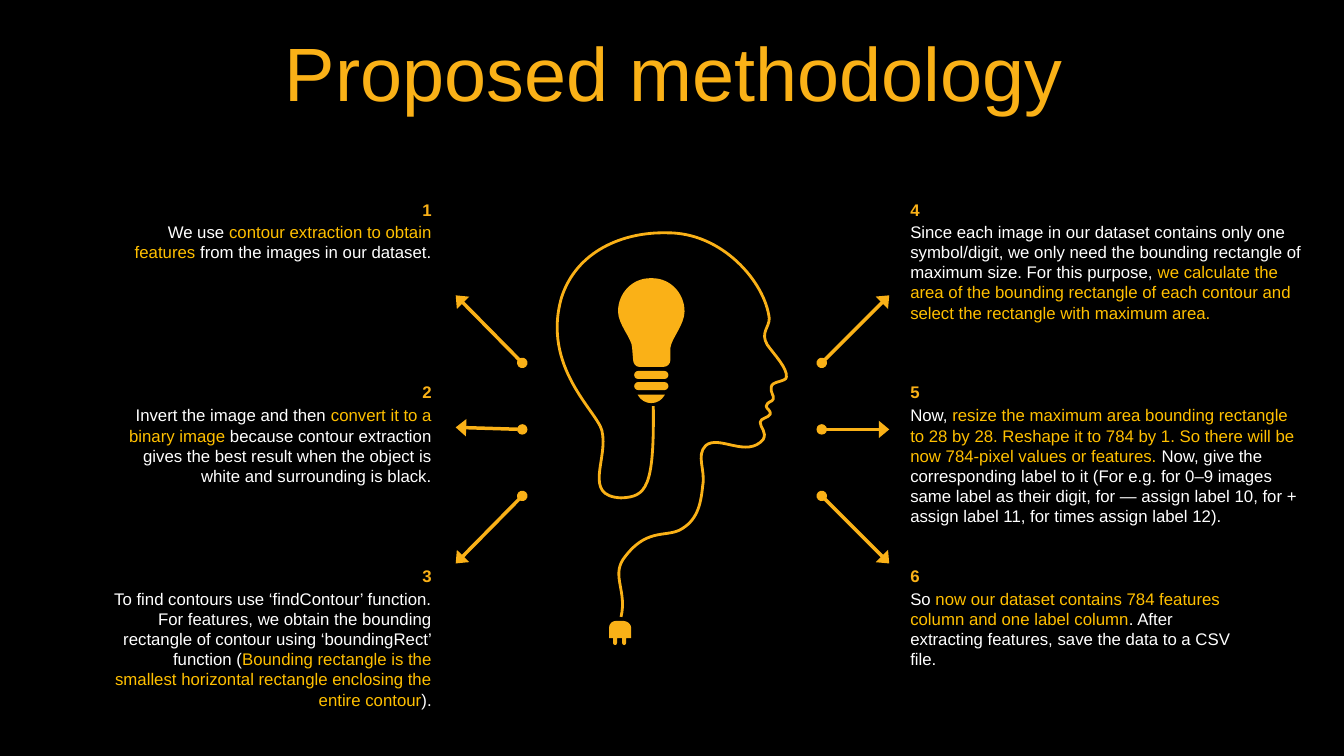
from dataclasses import dataclass

from lxml import etree
from pptx import Presentation
from pptx.dml.color import RGBColor
from pptx.enum import shapes, text
from pptx.oxml import ns
from pptx.util import Inches, Pt


@dataclass(frozen=True)
class Theme:
    font: str = "Arial"
    background: RGBColor = RGBColor(0x00, 0x00, 0x00)
    accent: RGBColor = RGBColor(0xFA, 0xB1, 0x17)
    highlight: RGBColor = RGBColor(0xFF, 0xC0, 0x00)
    body: RGBColor = RGBColor(0xFF, 0xFF, 0xFF)
    title_size: int = 54
    text_size: int = 12
    arrow_width: float = 2.5
    outline_width: float = 2


class SlideBuilder:
    def __init__(self, slide, theme):
        self.slide, self.theme = slide, theme
        self.shapes = slide.shapes
        fill = slide.background.fill
        fill.solid()
        fill.fore_color.rgb = theme.background

    def start_group(self):
        """Collect the following elements in a new group."""
        self.shapes = self.slide.shapes.add_group_shape().shapes

    def style_run(self, r, size, color, bold=False):
        r.font.name, r.font.size, r.font.bold = self.theme.font, Pt(size), bold
        r.font.color.rgb = color

    def title(self, words, x, y, w, h):
        sp = self.slide.shapes.title
        sp.left, sp.top, sp.width, sp.height = map(Inches, (x, y, w, h))
        tf = sp.text_frame
        tf.text = words
        tf.auto_size = text.MSO_AUTO_SIZE.NONE
        tf.vertical_anchor = text.MSO_ANCHOR.MIDDLE
        p = tf.paragraphs[0]
        p.alignment = text.PP_ALIGN.CENTER
        p.line_spacing, p.space_before = 0.9, Pt(10)
        self.style_run(p.runs[0], self.theme.title_size, self.theme.accent)

    def text_box(self, x, y, w, h, align, anchor):
        tf = self.shapes.add_textbox(*map(Inches, (x, y, w, h))).text_frame
        tf.word_wrap = True
        tf.auto_size = text.MSO_AUTO_SIZE.SHAPE_TO_FIT_TEXT
        tf.vertical_anchor = anchor
        p = tf.paragraphs[0]
        p.alignment = align
        return p

    def step(self, number, parts, lines, x, number_y, text_y, w, align):
        """Numbered step; every second part is highlighted."""
        theme = self.theme
        self.start_group()
        p = self.text_box(x, number_y, w, 0.3, align, text.MSO_ANCHOR.MIDDLE)
        p.text = str(number)
        self.style_run(p.runs[0], theme.text_size, theme.accent, bold=True)
        p = self.text_box(x, text_y, w, 0.1 + 0.2 * lines, align, text.MSO_ANCHOR.TOP)
        for i, part in enumerate(parts):
            r = p.add_run()
            r.text = part
            self.style_run(r, theme.text_size, theme.highlight if i % 2 else theme.body)

    def arrow(self, x1, y1, x2, y2):
        line = self.shapes.add_connector(
            shapes.MSO_CONNECTOR.STRAIGHT, *map(Inches, (x1, y1, x2, y2)))
        line.line.color.rgb = self.theme.accent
        line.line.width = Pt(self.theme.arrow_width)
        ln = line.line._get_or_add_ln()
        etree.SubElement(ln, ns.qn("a:headEnd"), type="oval")
        etree.SubElement(ln, ns.qn("a:tailEnd"), type="triangle", w="lg", len="med")
        etree.SubElement(line._element.spPr, ns.qn("a:effectLst"))

    def paint(self, sp):
        sp.shadow.inherit = False
        sp.fill.solid()
        sp.fill.fore_color.rgb = self.theme.accent
        sp.line.fill.background()

    def preset(self, kind, x, y, w, h, *adjustments):
        sp = self.shapes.add_shape(kind, *map(Inches, (x, y, w, h)))
        for i, value in enumerate(adjustments):
            sp.adjustments[i] = value
        self.paint(sp)

    def freeform(self, start, segments, closed=True):
        """Two numbers are a line to a point, six numbers are a cubic curve."""
        builder = self.shapes.build_freeform(*map(Inches, start))
        builder.add_line_segments([tuple(map(Inches, seg[-2:])) for seg in segments],
                                  close=closed)
        sp = builder.convert_to_shape()
        lines = list(sp._element.iter(ns.qn("a:lnTo")))
        for line, seg in zip(lines, segments):
            if len(seg) == 6:
                curve = etree.Element(ns.qn("a:cubicBezTo"))
                for x, y in zip(seg[::2], seg[1::2]):
                    etree.SubElement(curve, ns.qn("a:pt"), x=str(Inches(x) - sp.left),
                                     y=str(Inches(y) - sp.top))
                line.getparent().replace(line, curve)
        self.paint(sp)
        if not closed:
            sp.fill.background()
            sp.line.color.rgb = self.theme.accent
            sp.line.width = Pt(self.theme.outline_width)


# Step texts with their line counts, by number
STEPS = {
    4: (5, ["Since each image in our dataset contains only one symbol/digit, we only need "
            "the bounding rectangle of maximum size. For this purpose, ",
            "we calculate the area of the bounding rectangle of each contour and select "
            "the rectangle with maximum area."]),
    5: (6, ["Now, ", "resize the maximum area bounding rectangle to 28 by 28. Reshape it to "
            "784 by 1. So there will be now 784-pixel values or features. ",
            "Now, give the corresponding label to it (For e.g. for 0–9 images same label as "
            "their digit, for — assign label 10, for + assign label 11, for times assign "
            "label 12)."]),
    6: (4, ["So ", "now our dataset contains 784 features column and one label column",
            ". After extracting features, save the data to a CSV file."]),
    1: (2, ["We use ", "contour extraction to obtain features",
            " from the images in our dataset."]),
    2: (4, ["Invert the image and then ", "convert it to a binary image",
            " because contour extraction gives the best result when the object is white "
            "and surrounding is black."]),
    3: (6, ["To find contours use ‘findContour’ function. For features, we obtain the "
            "bounding rectangle of contour using ‘boundingRect’ function (",
            "Bounding rectangle is the smallest horizontal rectangle enclosing the entire "
            "contour", ")."]),
}
ROW_TOPS = ((1.93, 2.15), (3.74, 3.97), (5.56, 5.79))
NARROW, WIDE = 3.39, 4.1

# Outlines of the illustration
HEAD = (6.48, 4.03), [
    (6.49, 4.84, 6.41, 4.93, 6.16, 4.94), (5.77, 4.92, 6.04, 4.55, 5.97, 4.27),
    (5.92, 4.08, 5.37, 3.64, 5.57, 2.95), (5.72, 2.49, 6.18, 2.3, 6.61, 2.31),
    (7.16, 2.3, 7.59, 2.8, 7.63, 3.16), (7.63, 3.25, 7.54, 3.3, 7.61, 3.42),
    (7.68, 3.52, 7.81, 3.65, 7.8, 3.74), (7.8, 3.79, 7.65, 3.78, 7.65, 3.84),
    (7.64, 3.9, 7.68, 3.92, 7.67, 3.96), (7.66, 3.99, 7.61, 3.98, 7.6, 4.03),
    (7.6, 4.06, 7.65, 4.07, 7.64, 4.11), (7.63, 4.14, 7.54, 4.15, 7.54, 4.19),
    (7.54, 4.24, 7.61, 4.29, 7.57, 4.36), (7.41, 4.55, 7.13, 4.31, 7, 4.42),
    (6.9, 4.52, 7, 4.66, 6.97, 4.82), (6.95, 5.02, 6.91, 5.17, 6.74, 5.26),
    (6.59, 5.33, 6.4, 5.24, 6.18, 5.55), (6.07, 5.72, 6.22, 5.87, 6.16, 6.12)]
BULB = (6.45, 2.76), [
    (6.46, 2.76), (6.47, 2.76), (6.65, 2.76, 6.79, 2.91, 6.79, 3.09),
    (6.79, 3.22, 6.66, 3.36, 6.65, 3.45), (6.65, 3.57),
    (6.65, 3.61, 6.62, 3.64, 6.58, 3.64), (6.46, 3.64), (6.34, 3.64),
    (6.31, 3.64, 6.28, 3.61, 6.28, 3.57), (6.27, 3.45),
    (6.27, 3.36, 6.13, 3.22, 6.13, 3.09), (6.13, 2.91, 6.27, 2.76, 6.45, 2.76)]
PLUG = (6.11, 6.16), [
    (6.18, 6.16), (6.22, 6.16, 6.26, 6.19, 6.26, 6.23), (6.26, 6.33), (6.21, 6.33),
    (6.21, 6.38), (6.21, 6.39, 6.2, 6.4, 6.19, 6.4), (6.18, 6.4, 6.17, 6.39, 6.17, 6.38),
    (6.17, 6.33), (6.12, 6.33), (6.12, 6.38), (6.12, 6.39, 6.11, 6.4, 6.1, 6.4),
    (6.09, 6.4, 6.08, 6.39, 6.08, 6.38), (6.08, 6.33), (6.04, 6.33), (6.04, 6.23),
    (6.04, 6.19, 6.07, 6.16, 6.11, 6.16)]


def main():
    prs = Presentation()
    prs.slide_width, prs.slide_height = Inches(13.33), Inches(7.5)
    s = SlideBuilder(prs.slides.add_slide(prs.slide_layouts[5]), Theme())
    s.title("Proposed methodology", 0.35, 0.37, 12.66, 0.79)

    # Arrows fanning out from the head
    for start_x, end_x, middle_y in ((8.15, 8.82, 4.26), (5.18, 4.52, 4.24)):
        for start_y, end_y in ((3.6, 2.93), (4.26, middle_y), (4.92, 5.59)):
            s.arrow(start_x, start_y, end_x, end_y)

    # Numbered steps in two columns
    for number, (lines, parts) in STEPS.items():
        column, row = divmod(number - 1, 3)
        x, align = ((0.99, text.PP_ALIGN.RIGHT), (8.93, text.PP_ALIGN.LEFT))[column]
        width = WIDE if number in (4, 5) else NARROW
        s.step(number, parts, lines, x, *ROW_TOPS[row], width, align)

    # Head with light bulb and plug
    s.start_group()
    s.freeform(*HEAD, closed=False)
    s.freeform(*BULB)
    for y in (3.68, 3.79):
        s.preset(shapes.MSO_SHAPE.ROUNDED_RECTANGLE, 6.29, y, 0.34, 0.08, 0.5)
    s.preset(shapes.MSO_SHAPE.CHORD, 6.31, 3.7, 0.3, 0.3, 15.77, 92.52)
    s.freeform(*PLUG)

    prs.save("out.pptx")


if __name__ == "__main__":
    main()
